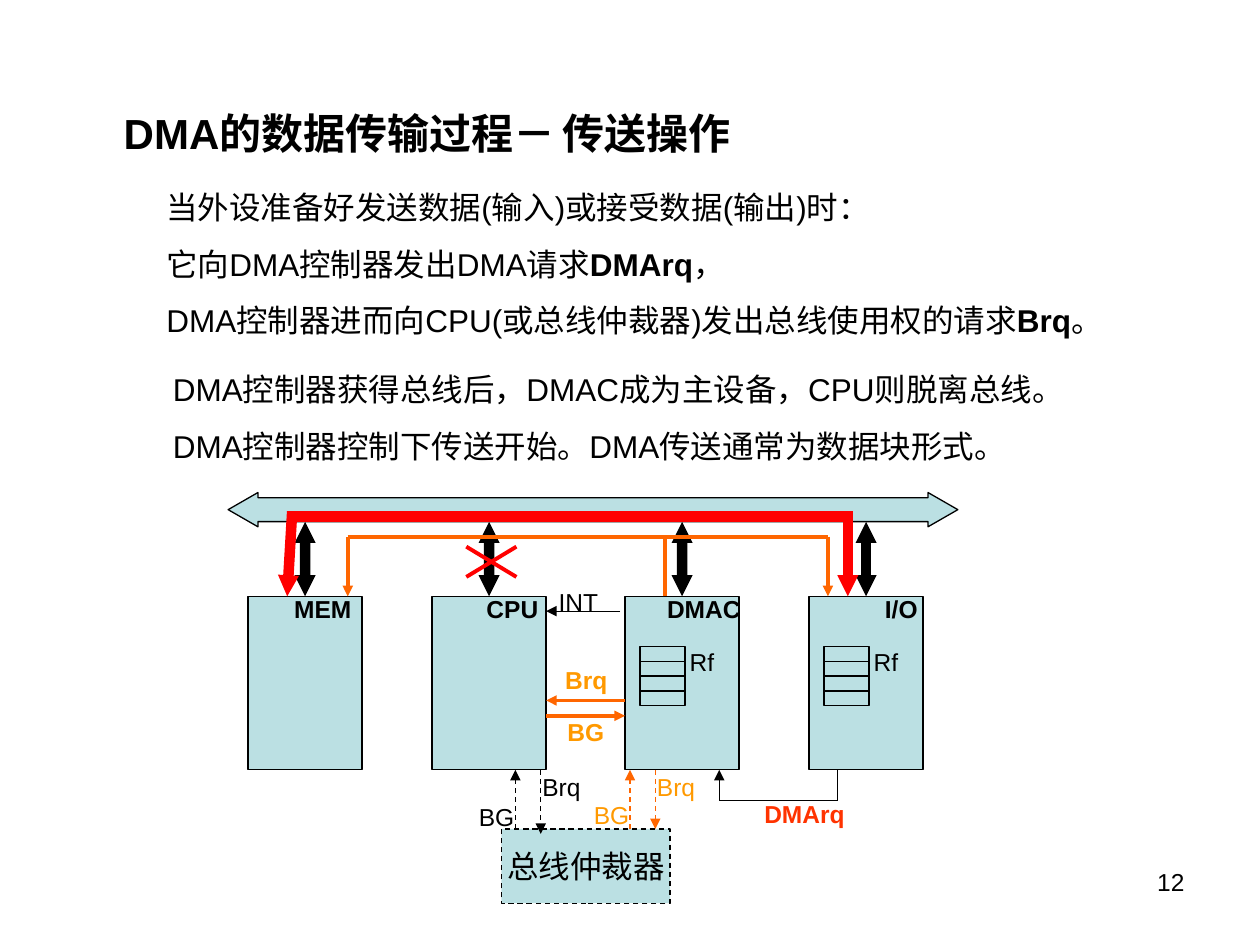
from dataclasses import dataclass

from lxml import etree
from pptx import Presentation
from pptx.dml.color import RGBColor
from pptx.enum.dml import MSO_LINE
from pptx.enum.shapes import MSO_CONNECTOR, MSO_SHAPE
from pptx.enum.text import MSO_ANCHOR, MSO_AUTO_SIZE, PP_ALIGN
from pptx.oxml.ns import qn
from pptx.util import Cm, Pt

RECT = MSO_SHAPE.RECTANGLE
ARROW = MSO_SHAPE.LEFT_RIGHT_ARROW
LINE = MSO_CONNECTOR.STRAIGHT
DASH = MSO_LINE.DASH
TOP, MIDDLE = MSO_ANCHOR.TOP, MSO_ANCHOR.MIDDLE
LEFT, CENTER, RIGHT = PP_ALIGN.LEFT, PP_ALIGN.CENTER, PP_ALIGN.RIGHT
FIXED = MSO_AUTO_SIZE.NONE


@dataclass(frozen=True)
class Theme:
    face: str = "Arial"
    black: str = "000000"
    fill: str = "BBE0E3"
    red: str = "FF0000"
    alert: str = "FF3300"
    orange: str = "FF6600"
    amber: str = "FF9900"
    title: float = 24
    body: float = 18
    label: float = 14
    thin: float = 0.75
    wire: float = 2
    bold: float = 2.25
    thick: float = 6


@dataclass(frozen=True)
class Block:
    name: str
    left: float
    shift: float
    file: bool = False


@dataclass(frozen=True)
class Wire:
    start: tuple[float, float]
    end: tuple[float, float]
    color: str
    width: float
    head: bool = False
    tail: bool = False
    dash: bool = False


@dataclass(frozen=True)
class Label:
    text: str
    x: float
    y: float
    color: str
    bold: bool = False
    wide: float = 1.04
    high: float = 0.33


T = Theme()
BLOCK_TOP, BLOCK_WIDE, BLOCK_HIGH = 12.02, 2.3, 3.5
BLOCK_END = BLOCK_TOP + BLOCK_HIGH
BUS_END, RED_Y, GRANT_Y, LOOP_Y = 10.52, 10.41, 10.82, 16.13
CPU_EDGE, DMAC_EDGE, ARB_TOP = 11.01, 12.6, 16.71
CELL_TOP, CELL_WIDE, CELL_HIGH = 13.03, 0.91, 0.3

BLOCKS = [
    Block("MEM", 5, 1.51),
    Block("CPU", 8.71, 1.62),
    Block("DMAC", DMAC_EDGE, 1.59, True),
    Block("I/O", 16.31, 1.86, True),
]

WIRES = [
    Wire((16.89, BLOCK_END), (16.89, LOOP_Y), T.black, T.thin),
    Wire((16.89, LOOP_Y), (14.5, LOOP_Y), T.black, T.thin),
    Wire((14.5, LOOP_Y), (14.5, BLOCK_END), T.black, T.thin, tail=True),
    Wire((DMAC_EDGE, 14.12), (CPU_EDGE, 14.12), T.orange, T.wire, tail=True),
    Wire((CPU_EDGE, 14.43), (DMAC_EDGE, 14.43), T.orange, T.wire, tail=True),
    Wire((12.5, 12.32), (CPU_EDGE, 12.32), T.black, T.thin, tail=True),
    Wire((5.79, BLOCK_TOP), (5.89, 10.31), T.red, T.thick, head=True),
    Wire((5.79, RED_Y), (17.2, RED_Y), T.red, T.thick),
    Wire((17.09, RED_Y), (17.09, BLOCK_TOP), T.red, T.thick, tail=True),
    Wire((9.4, 11.02), (10.41, 11.63), T.red, T.bold),
    Wire((10.41, 11.02), (9.4, 11.63), T.red, T.bold),
    Wire((13.41, BLOCK_TOP), (13.41, GRANT_Y), T.orange, T.bold),
    Wire((7.01, GRANT_Y), (16.69, GRANT_Y), T.orange, T.wire),
    Wire((16.69, GRANT_Y), (16.69, BLOCK_TOP), T.orange, T.wire, tail=True),
    Wire((7.01, GRANT_Y), (7.01, BLOCK_TOP), T.orange, T.wire, tail=True),
    Wire((13.21, BLOCK_END), (13.21, ARB_TOP), T.orange, T.thin, tail=True, dash=True),
    Wire((12.7, ARB_TOP), (12.7, BLOCK_END), T.orange, T.thin, tail=True, dash=True),
    Wire((10.9, BLOCK_END), (10.9, 16.81), T.black, T.thin, tail=True, dash=True),
    Wire((10.39, ARB_TOP), (10.39, BLOCK_END), T.black, T.thin, tail=True, dash=True),
]

LABELS = [
    Label("DMArq", 16.22, 16.4, T.alert, True),
    Label("Brq", 11.82, 13.7, T.amber, True),
    Label("BG", 11.81, 14.76, T.amber, True, 0.61),
    Label("INT", 11.66, 12.12, T.black, wide=0.5),
    Label("Brq", 11.32, 15.86, T.black),
    Label("Brq", 13.63, 15.86, T.amber),
    Label("BG", 12.33, 16.42, T.amber),
    Label("BG", 10.01, 16.46, T.black, wide=0.61),
]

REQUEST = [
    "当外设准备好发送数据(输入)或接受数据(输出)时：",
    "它向DMA控制器发出DMA请求|DMArq|，",
    "DMA控制器进而向CPU(或总线仲裁器)发出总线使用权的请求|Brq|。",
]
TRANSFER = [
    "DMA控制器获得总线后，DMAC成为主设备，CPU则脱离总线。",
    "DMA控制器控制下传送开始。DMA传送通常为数据块形式。",
]


def style(para, size: float, color: str, bold: bool, align) -> None:
    para.alignment = align
    para.font.name = T.face
    para.font.size = Pt(size)
    para.font.bold = bold
    para.font.color.rgb = RGBColor.from_string(color)


def frame(shape, anchor, wrap: bool):
    text = shape.text_frame
    text.auto_size = FIXED
    text.word_wrap = wrap
    text.vertical_anchor = anchor
    return text


def place(shape, left: float, top: float, wide: float, high: float):
    shape.left, shape.top = Cm(left), Cm(top)
    shape.width, shape.height = Cm(wide), Cm(high)
    return frame(shape, TOP, True)


def fill_title(shape) -> None:
    para = place(shape, 2.24, 2.03, 14, 1.27).paragraphs[0]
    style(para, T.title, T.black, True, LEFT)
    for part in ("DMA的数据传输过程－", " ", "传送操作"):
        run = para.add_run()
        run.text = part
        if part == " ":
            run.font.size, run.font.bold = Pt(T.body), False


def fill_body(shape, lines: list[str], *box: float) -> None:
    text = place(shape, *box)
    for i, line in enumerate(lines):
        para = text.add_paragraph() if i else text.paragraphs[0]
        para.line_spacing = 1.5
        para.space_before = Pt(0)
        props = para._p.get_or_add_pPr()
        props.set("marL", "0")
        props.set("indent", "0")
        etree.SubElement(props, qn("a:buNone"))
        style(para, T.body, T.black, False, LEFT)
        for j, part in enumerate(line.split("|")):
            run = para.add_run()
            run.text = part
            if j % 2:
                run.font.bold = True


def add_box(slide, kind, left: float, top: float, wide: float, high: float, fill: str = ""):
    shape = slide.shapes.add_shape(kind, Cm(left), Cm(top), Cm(wide), Cm(high))
    shape.shadow.inherit = False
    if fill:
        shape.fill.solid()
        shape.fill.fore_color.rgb = RGBColor.from_string(fill)
    else:
        shape.fill.background()
    shape.line.color.rgb = RGBColor.from_string(T.black)
    shape.line.width = Pt(T.thin)
    return shape


def add_wire(slide, wire: Wire):
    ends = [Cm(v) for v in (*wire.start, *wire.end)]
    link = slide.shapes.add_connector(LINE, *ends)
    link.line.color.rgb = RGBColor.from_string(wire.color)
    link.line.width = Pt(wire.width)
    if wire.dash:
        link.line.dash_style = DASH
    size = "sm" if wire.width == T.thick else "med"
    for tag, used in (("a:headEnd", wire.head), ("a:tailEnd", wire.tail)):
        if used:
            etree.SubElement(link.line._ln, qn(tag), type="triangle", w=size, len=size)
    etree.SubElement(link._element.spPr, qn("a:effectLst"))
    return link


def add_label(slide, label: Label) -> None:
    left, top = label.x - label.wide / 2, label.y - label.high / 2
    box = slide.shapes.add_textbox(Cm(left), Cm(top), Cm(label.wide), Cm(label.high))
    para = frame(box, MIDDLE, False).paragraphs[0]
    style(para, T.label, label.color, label.bold, CENTER)
    para.add_run().text = label.text


def add_block(slide, block: Block) -> None:
    shape = add_box(slide, RECT, block.left, BLOCK_TOP, BLOCK_WIDE, BLOCK_HIGH, T.fill)
    mid = block.left + BLOCK_WIDE / 2
    wire = Wire((mid, BUS_END), (mid, BLOCK_TOP), T.black, T.thick, head=True, tail=True)
    add_wire(slide, wire).end_connect(shape, 0)
    add_label(slide, Label(block.name, block.left + block.shift, 12.28, T.black, True))
    if block.file:
        for i in range(4):
            add_box(slide, RECT, block.left + 0.3, CELL_TOP + i * CELL_HIGH, CELL_WIDE, CELL_HIGH)
        add_label(slide, Label("Rf", block.left + 1.55, 13.34, T.black, wide=0.3, high=0.2))


def main() -> None:
    deck = Presentation()
    deck.slide_width, deck.slide_height = Cm(25.4), Cm(19.05)
    slide = deck.slides.add_slide(deck.slide_layouts[3])
    title, first, second = slide.placeholders
    fill_title(title)
    fill_body(first, REQUEST, 3.1, 3.28, 20.8, 3.68)
    fill_body(second, TRANSFER, 3.23, 6.96, 19.6, 2.54)
    bus = add_box(slide, ARROW, 4.6, 9.93, 14.71, 0.69, T.fill)
    bus.adjustments[0], bus.adjustments[1] = 0.7, 0.87
    for block in BLOCKS:
        add_block(slide, block)
    arbiter = add_box(slide, RECT, 10.11, ARB_TOP, 3.4, 1.5, T.fill)
    arbiter.line.dash_style = DASH
    para = frame(arbiter, MIDDLE, False).paragraphs[0]
    style(para, T.body, T.black, False, CENTER)
    para.add_run().text = "总线仲裁器"
    for wire in WIRES:
        add_wire(slide, wire)
    for label in LABELS:
        add_label(slide, label)
    page = slide.shapes.add_textbox(Cm(18.21), Cm(17.35), Cm(5.92), Cm(1.32))
    para = frame(page, TOP, True).paragraphs[0]
    style(para, T.label, T.black, False, RIGHT)
    para.add_run().text = "12"
    deck.save("out.pptx")


if __name__ == "__main__":
    main()
